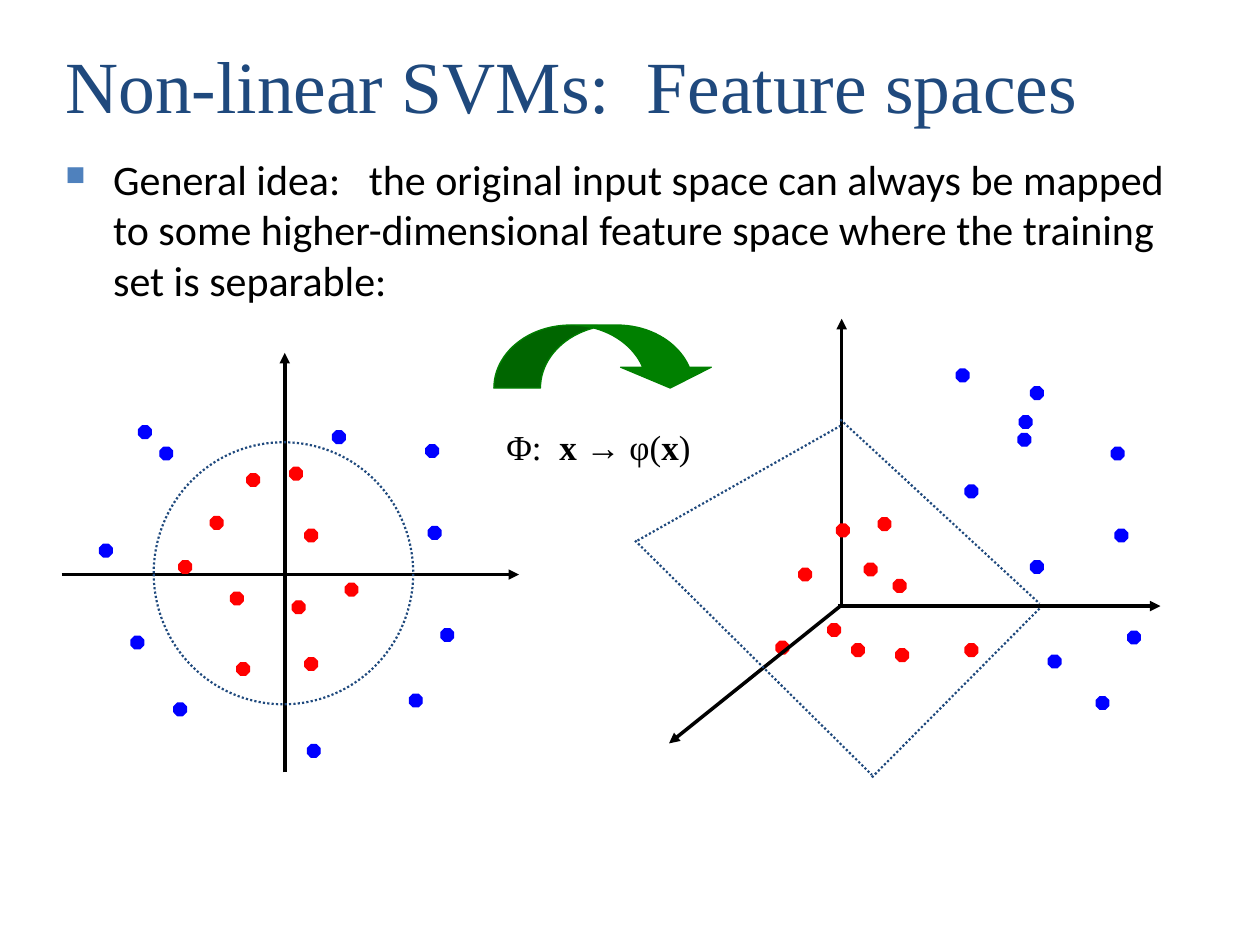
"""Build a slide on mapping a non-linear problem into a separable feature space."""
from lxml.etree import SubElement
from pptx import Presentation
from pptx.dml.color import RGBColor
from pptx.enum.dml import MSO_LINE
from pptx.enum.shapes import MSO_CONNECTOR, MSO_SHAPE
from pptx.enum.text import MSO_ANCHOR
from pptx.oxml.ns import qn
from pptx.util import Inches, Pt

COLORS = {
    "title": "1F497D", "bullet": "4F81BD", "text": "000000", "axis": "000000",
    "inner": "FF0000", "outer": "0000FF", "boundary": "1F497D", "arrow": "008000",
}
TITLE = "Non-linear SVMs:  Feature spaces"
IDEA = (
    "General idea:   the original input space can always be mapped to some "
    "higher-dimensional feature space where the training set is separable:"
)
MAPPING = [("Φ:  ", False), ("x → ", True), ("φ(", False), ("x", True), (")", False)]

DOT_SIZE = 0.1
INPUT_DOTS = {
    "inner": [
        (2.3, 3.71), (1.67, 4.1), (1.83, 4.7), (2.42, 5.22), (1.96, 3.76),
        (1.42, 4.45), (1.88, 5.26), (2.42, 4.2), (2.74, 4.63), (2.32, 4.77),
    ],
    "outer": [
        (3.4, 4.18), (3.25, 5.51), (0.79, 4.32), (2.44, 5.91), (3.5, 4.99), (1.38, 5.58),
        (1.04, 5.05), (1.1, 3.38), (2.64, 3.42), (1.27, 3.55), (3.38, 3.53),
    ],
}
FEATURE_DOTS = {
    "inner": [
        (6.97, 4.11), (6.34, 4.51), (6.76, 5.11), (7.66, 5.11), (6.64, 4.16),
        (6.86, 4.47), (7.11, 5.15), (7.09, 4.6), (6.57, 4.95), (6.16, 5.09),
    ],
    "outer": [
        (8.85, 4.2), (8.7, 5.53), (8.18, 3.07), (8.18, 4.45), (8.95, 5.01), (7.66, 3.85),
        (8.32, 5.2), (8.09, 3.3), (8.08, 3.44), (7.59, 2.93), (8.82, 3.55),
    ],
}
INPUT_AXES = [((2.26, 6.13), (2.26, 2.8)), ((0.49, 4.56), (4.12, 4.56))]
FEATURE_AXES = [((6.68, 4.79), (6.68, 2.53)), ((6.65, 4.81), (9.21, 4.81))]
DEPTH_AXIS = ((6.67, 4.81), (5.31, 5.9))
PLANE_EDGES = [
    ((6.67, 3.33), (8.25, 4.79)), ((6.92, 6.17), (8.25, 4.83)),
    ((5.06, 4.29), (6.67, 3.38)), ((5.04, 4.29), (6.92, 6.15)),
]


def color(name):
    return RGBColor.from_string(COLORS[name])


def add_text(slide, box, runs, size, font, color_name):
    shape = slide.shapes.add_textbox(*map(Inches, box))
    shape.text_frame.word_wrap = True
    paragraph = shape.text_frame.paragraphs[0]
    for text, bold in runs:
        run = paragraph.add_run()
        run.text = text
        run.font.size = Pt(size)
        run.font.name = font
        run.font.bold = bold
        run.font.color.rgb = color(color_name)
    return shape


def add_bullet(paragraph):
    properties = paragraph._p.get_or_add_pPr()
    properties.set("marL", str(Inches(0.38)))
    properties.set("indent", str(-Inches(0.38)))
    bullet_color = SubElement(properties, qn("a:buClr"))
    SubElement(bullet_color, qn("a:srgbClr"), val=COLORS["bullet"])
    SubElement(properties, qn("a:buSzPct"), val="65000")
    SubElement(properties, qn("a:buChar"), char="■")


def add_shape(slide, kind, box, line_name, width=0.75, filled=True):
    shape = slide.shapes.add_shape(kind, *map(Inches, box))
    shape.shadow.inherit = False
    if filled:
        shape.fill.solid()
        shape.fill.fore_color.rgb = color(line_name)
    else:
        shape.fill.background()
    shape.line.color.rgb = color(line_name)
    shape.line.width = Pt(width)
    return shape


def add_line(slide, start, end, color_name, width):
    connector = slide.shapes.add_connector(
        MSO_CONNECTOR.STRAIGHT, *map(Inches, start + end))
    connector.line.color.rgb = color(color_name)
    connector.line.width = Pt(width)
    SubElement(connector._element.spPr, qn("a:effectLst"))
    return connector


def add_axis(slide, start, end):
    axis = add_line(slide, start, end, "axis", 2)
    SubElement(axis.line._get_or_add_ln(), qn("a:tailEnd"), type="triangle")


def add_dots(slide, groups):
    for name, corners in groups.items():
        for left, top in corners:
            add_shape(slide, MSO_SHAPE.OCTAGON, (left, top, DOT_SIZE, DOT_SIZE), name)


def main():
    presentation = Presentation()
    presentation.slide_width, presentation.slide_height = Inches(10), Inches(7.5)
    slide = presentation.slides.add_slide(presentation.slide_layouts[6])

    title = add_text(slide, (0.42, 0.25, 8.5, 0.83), [(TITLE, False)],
                     42, "Times New Roman", "title")
    title.text_frame.vertical_anchor = MSO_ANCHOR.MIDDLE
    idea = add_text(slide, (0.42, 1.17, 9, 5.5), [(IDEA, False)], 24, "Calibri", "text")
    add_bullet(idea.text_frame.paragraphs[0])

    for start, end in INPUT_AXES:
        add_axis(slide, start, end)
    add_dots(slide, INPUT_DOTS)
    circle = add_shape(slide, MSO_SHAPE.OVAL, (1.22, 3.51, 2.06, 2.08),
                       "boundary", 1.25, filled=False)
    circle.line.dash_style = MSO_LINE.ROUND_DOT

    for start, end in FEATURE_AXES:
        add_axis(slide, start, end)
    add_dots(slide, FEATURE_DOTS)
    add_axis(slide, *DEPTH_AXIS)
    for start, end in PLANE_EDGES:
        edge = add_line(slide, start, end, "boundary", 1.25)
        edge.line.dash_style = MSO_LINE.ROUND_DOT

    arrow = add_shape(slide, MSO_SHAPE.CURVED_DOWN_ARROW, (3.92, 2.58, 1.76, 0.5), "arrow")
    for index, ratio in enumerate((0.74, 1.44, 0.33)):
        arrow.adjustments[index] = ratio
    add_text(slide, (3.92, 3.33, 2.08, 0.48), MAPPING, 20, "Times New Roman", "text")

    presentation.save("out.pptx")


if __name__ == "__main__":
    main()
